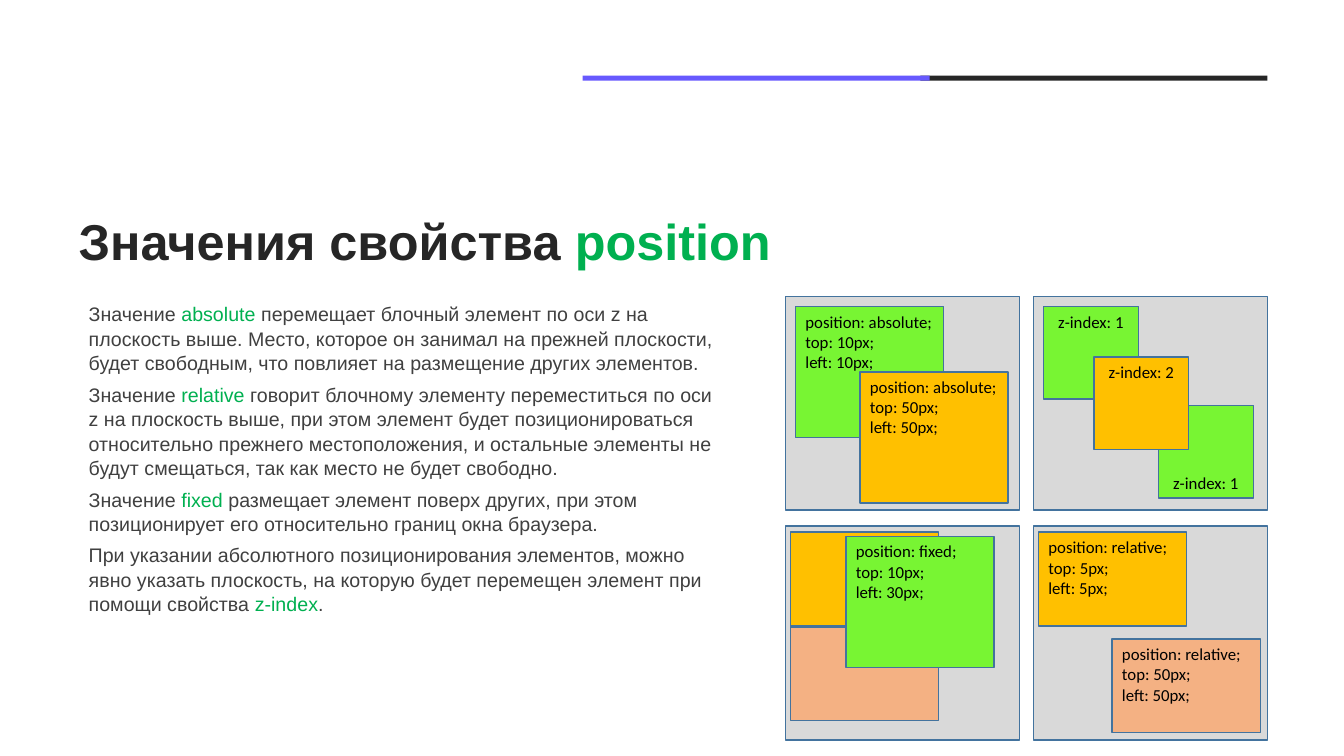
"""Build a slide on the values of the CSS position property."""
from dataclasses import dataclass

from pptx import Presentation
from pptx.dml.color import RGBColor
from pptx.enum.shapes import MSO_SHAPE
from pptx.enum.text import MSO_ANCHOR, MSO_AUTO_SIZE, PP_ALIGN
from pptx.util import Inches, Pt

RECT = MSO_SHAPE.RECTANGLE
TOP, MID, LOW = MSO_ANCHOR.TOP, MSO_ANCHOR.MIDDLE, MSO_ANCHOR.BOTTOM
LEFT, MIDST = PP_ALIGN.LEFT, PP_ALIGN.CENTER
FIXED = MSO_AUTO_SIZE.NONE


@dataclass(frozen=True)
class Theme:
    """Hold the colours, fonts and type sizes."""
    ink: str = "262626"
    text: str = "404040"
    mark: str = "00B050"
    violet: str = "6759FE"
    gray: str = "D9D9D9"
    lime: str = "78F533"
    gold: str = "FFC000"
    peach: str = "F4B183"
    edge: str = "43739E"
    black: str = "000000"
    face: str = "Arial"
    code: str = "Calibri"
    head: int = 36
    body: int = 14
    note: int = 12


T = Theme()

TITLE = [("Значения свойства ", T.ink), ("position", T.mark)]
BODY = [
    [("Значение ", T.text), ("absolute", T.mark),
     (" перемещает блочный элемент по оси z на плоскость выше. Место, которое он "
      "занимал на прежней плоскости, будет свободным, что повлияет на размещение "
      "других элементов.", T.text)],
    [("Значение ", T.text), ("relative", T.mark),
     (" говорит блочному элементу переместиться по оси z на плоскость выше, при этом "
      "элемент будет позиционироваться относительно прежнего местоположения, и "
      "остальные элементы не будут смещаться, так как место не будет свободно.", T.text)],
    [("Значение ", T.text), ("fixed", T.mark),
     (" размещает элемент поверх других, при этом позиционирует его относительно "
      "границ окна браузера.", T.text)],
    [("При указании абсолютного позиционирования элементов, можно явно указать "
      "плоскость, на которую будет перемещен элемент при помощи свойства ", T.text),
     ("z-index", T.mark), (".", T.text)],
]

BIG, SMALL, FLAT = (1.47, 1.3), (0.94, 0.92), (1.47, 0.93)
PANELS = [
    [(0.1, 0.1, BIG, T.lime, ["position: absolute;", "top: 10px;", "left: 10px;"], LEFT, TOP),
     (0.74, 0.75, BIG, T.gold, ["position: absolute;", "top: 50px;", "left: 50px;"], LEFT, TOP)],
    [(0.1, 0.1, SMALL, T.lime, ["z-index: 1"], MIDST, TOP),
     (1.24, 1.08, SMALL, T.lime, ["z-index: 1"], MIDST, LOW),
     (0.6, 0.6, SMALL, T.gold, ["z-index: 2"], MIDST, TOP)],
    [(0.05, 0.06, FLAT, T.gold, [], LEFT, TOP),
     (0.05, 1.0, FLAT, T.peach, [], LEFT, TOP),
     (0.6, 0.1, BIG, T.lime, ["position: fixed;", "top: 10px;", "left: 30px;"], LEFT, TOP)],
    [(0.05, 0.06, FLAT, T.gold, ["position: relative;", "top: 5px;", "left: 5px;"], LEFT, TOP),
     (0.78, 1.12, FLAT, T.peach, ["position: relative;", "top: 50px;", "left: 50px;"], LEFT, TOP)],
]

WIDE, HIGH = 13.33, 7.5
EDGE, RIGHT, ROW = 0.68, 12.57, 2.94
CELL = (2.32, 2.12)
GAP = (0.14, 0.16)
BAR = (3.44, 0.05)
BARS = [(RIGHT - BAR[0], T.ink), (5.78, T.violet)]


def color(code):
    return RGBColor.from_string(code)


def place(shape, x, y, w, h):
    shape.left, shape.top = Inches(x), Inches(y)
    shape.width, shape.height = Inches(w), Inches(h)


def write(para, runs, face, size, bold=False):
    for words, tint in runs:
        run = para.add_run()
        run.text = words
        font = run.font
        font.name, font.size, font.bold = face, Pt(size), bold
        font.color.rgb = color(tint)


def lines(frame, count):
    for _ in range(count - 1):
        frame.add_paragraph()
    return frame.paragraphs


def box(home, x, y, size, fill, edge=None):
    shape = home.add_shape(RECT, Inches(x), Inches(y), *map(Inches, size))
    shape.shadow.inherit = False
    shape.fill.solid()
    shape.fill.fore_color.rgb = color(fill)
    if edge:
        shape.line.color.rgb = color(edge)
        shape.line.width = Pt(1)
    else:
        shape.line.fill.background()
    return shape


def tile(home, x, y, size, fill, texts, align, anchor):
    frame = box(home, x, y, size, fill, T.edge).text_frame
    frame.word_wrap = True
    frame.vertical_anchor = anchor
    for para, words in zip(lines(frame, len(texts)), texts):
        para.alignment = align
        write(para, [(words, T.black)], T.code, T.note)


def fill_title(shape):
    place(shape, EDGE, 2.07, RIGHT - EDGE, 0.71)
    frame = shape.text_frame
    frame.auto_size, frame.vertical_anchor = FIXED, MID
    para = frame.paragraphs[0]
    para.alignment, para.line_spacing = LEFT, 0.9
    write(para, TITLE, T.face, T.head, True)


def fill_body(shape):
    place(shape, EDGE, ROW, 6.51, 3.14)
    frame = shape.text_frame
    frame.auto_size, frame.vertical_anchor = FIXED, TOP
    for para, runs in zip(lines(frame, len(BODY)), BODY):
        para.space_before, para.line_spacing = Pt(5), 1.04
        props = para._p.get_or_add_pPr()
        props.set("marL", str(Inches(0.1)))
        props.set("indent", "0")
        props.append(props.makeelement(
            "{http://schemas.openxmlformats.org/drawingml/2006/main}buNone", {}))
        write(para, runs, T.face, T.body)


def draw_panels(slide):
    start = RIGHT - 2 * CELL[0] - GAP[0]
    for spot, tiles in enumerate(PANELS):
        row, col = divmod(spot, 2)
        x = start + col * (CELL[0] + GAP[0])
        y = ROW + row * (CELL[1] + GAP[1])
        group = slide.shapes.add_group_shape().shapes
        box(group, x, y, CELL, T.gray, T.edge)
        for dx, dy, *rest in tiles:
            tile(group, x + dx, y + dy, *rest)


def main():
    deck = Presentation()
    deck.slide_width, deck.slide_height = Inches(WIDE), Inches(HIGH)
    slide = deck.slides.add_slide(deck.slide_layouts[1])
    fill_title(slide.shapes.title)
    fill_body(slide.placeholders[1])
    for x, tint in BARS:
        box(slide.shapes, x, HIGH / 10, BAR, tint)
    draw_panels(slide)
    deck.save("out.pptx")


if __name__ == "__main__":
    main()
